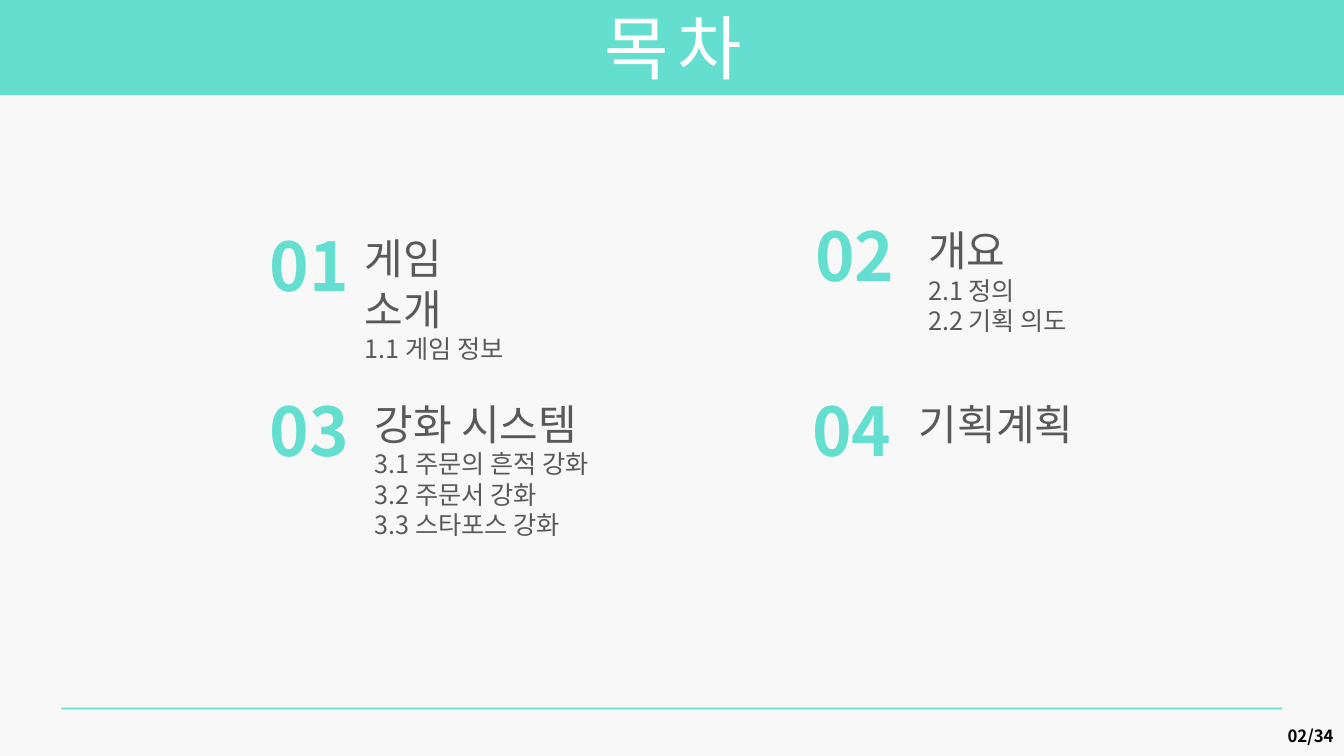
from pptx import Presentation
from pptx import util as u
from pptx.dml import color
from pptx.enum import shapes, text
from pptx.oxml import ns
from lxml import etree


class Deck:
    FONT = "Noto Sans CJK KR"
    COLORS = {"mint": "64DECF", "page": "F8F8F8", "body": "595959",
              "white": "FFFFFF", "black": "000000"}

    def __init__(self, width, height):
        self.prs = Presentation()
        self.prs.slide_width = u.Cm(width)
        self.prs.slide_height = u.Cm(height)
        self.s = self.prs.slides.add_slide(self.prs.slide_layouts[6])
        fill = self.s.background.fill
        fill.solid()
        fill.fore_color.rgb = self.rgb("page")

    def rgb(self, name):
        return color.RGBColor.from_string(self.COLORS[name])

    def bar(self, x, y, w, h):
        sp = self.s.shapes.add_shape(shapes.MSO_SHAPE.RECTANGLE, *map(u.Cm, (x, y, w, h)))
        sp.shadow.inherit = False
        sp.fill.solid()
        sp.fill.fore_color.rgb = self.rgb("mint")
        sp.line.fill.background()

    def text(self, x, y, w, h, lines, sizes, ink, bold=False,
             align=text.PP_ALIGN.LEFT, anchor=text.MSO_ANCHOR.TOP, tracking=0):
        tf = self.s.shapes.add_textbox(*map(u.Cm, (x, y, w, h))).text_frame
        tf.word_wrap = True
        tf.vertical_anchor = anchor
        tf.text = "\n".join(lines)
        for i, p in enumerate(tf.paragraphs):
            p.alignment = align
            r = p.runs[0]
            r.font.size = u.Pt(sizes[min(i, len(sizes) - 1)])
            r.font.name = self.FONT
            r.font.bold = bold
            r.font.color.rgb = self.rgb(ink)
            rPr = r.font._element
            etree.SubElement(rPr, ns.qn("a:ea")).set("typeface", self.FONT)
            if tracking:
                rPr.set("spc", str(tracking * 100))

    def section(self, number, number_at, lines, lines_at, w, h):
        self.text(*number_at, 2.64, 2.31, [number], [48], "mint", bold=True)
        self.text(*lines_at, w, h, lines, [30, 18], "body")


def main():
    deck = Deck(33.87, 19.05)
    deck.bar(0, 0, 33.93, 2.39)
    deck.text(13.28, 0, 7.37, 2.39, ["목차"], [50], "white",
              align=text.PP_ALIGN.CENTER, tracking=6)
    sections = [
        ("01", (6.55, 5.54), ["게임 소개", "1.1 게임 정보"], (8.94, 5.74), 4.55, 2.31),
        ("02", (20.29, 5.28), ["개요", "2.1 정의", "2.2 기획 의도"], (23.14, 5.54), 4.1, 3.07),
        ("03", (6.55, 9.68), ["강화 시스템", "3.1 주문의 흔적 강화", "3.2 주문서 강화",
                              "3.3 스타포스 강화"], (9.19, 9.91), 6, 3.84),
        ("04", (20.22, 9.68), ["기획계획"], (22.91, 9.91), 4.8, 1.55),
    ]
    for section in sections:
        deck.section(*section)
    deck.bar(1.55, 17.83, 30.76, 0.05)
    deck.text(26.24, 18.03, 7.62, 1.02, ["02/34"], [12], "black", bold=True,
              align=text.PP_ALIGN.RIGHT, anchor=text.MSO_ANCHOR.MIDDLE)
    deck.prs.save("out.pptx")


if __name__ == "__main__":
    main()
